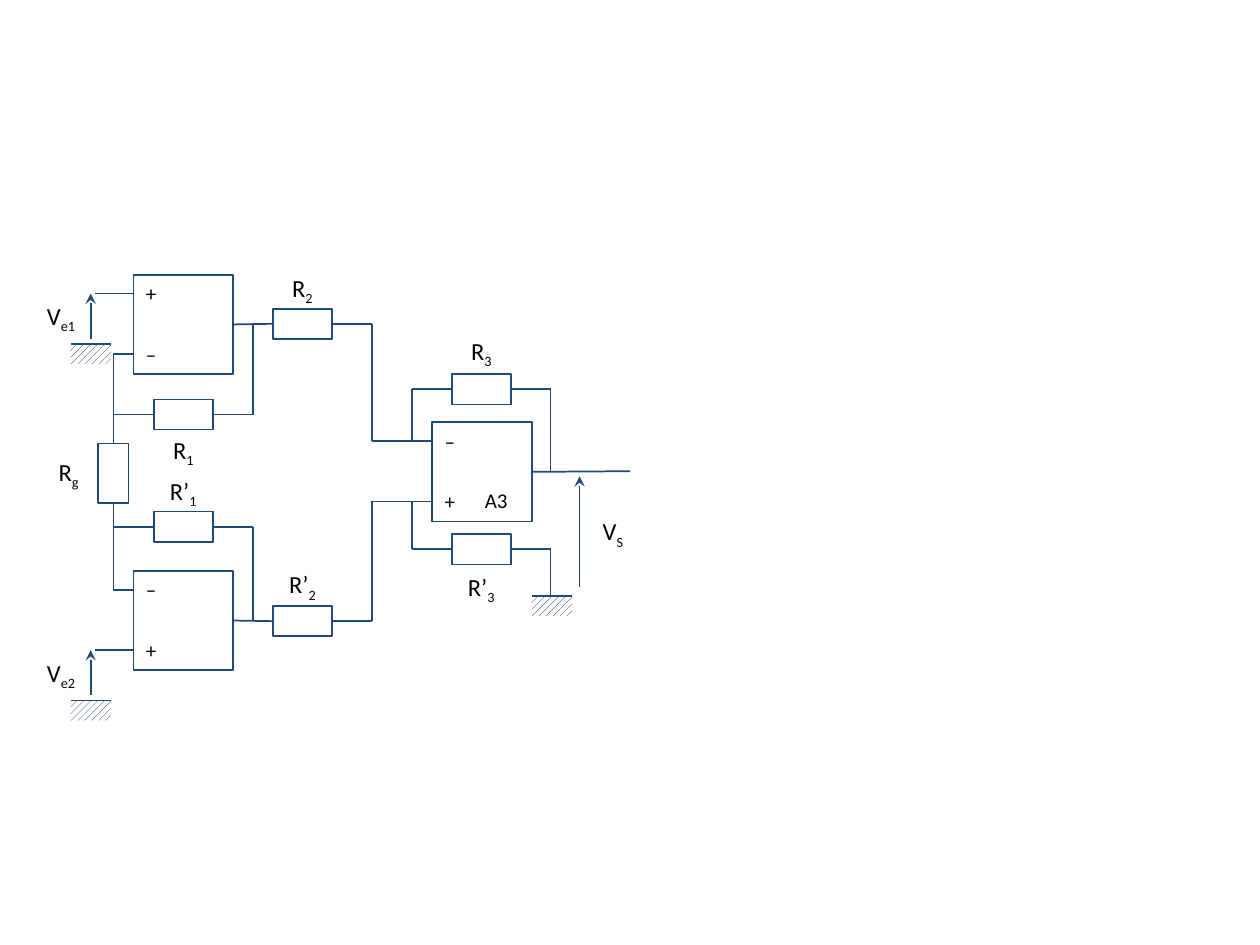
from dataclasses import dataclass
from typing import NamedTuple

from lxml import etree
from pptx import Presentation
from pptx import util as u
from pptx.dml.color import RGBColor
from pptx.enum import dml, shapes, text
from pptx.oxml.ns import qn


@dataclass(frozen=True)
class Theme:
    font: str = "Calibri"
    wire: RGBColor = RGBColor(0x1F, 0x49, 0x7D)
    hatch: RGBColor = RGBColor(0x00, 0x20, 0x60)
    paper: RGBColor = RGBColor(0xFF, 0xFF, 0xFF)
    ink: RGBColor = RGBColor(0, 0, 0)
    line: float = 1
    label: float = 14
    sign: float = 12


class Point(NamedTuple):
    x: float
    y: float


class Joint(NamedTuple):
    box: object
    site: int


@dataclass(frozen=True)
class Amplifier:
    left: float
    top: float
    upper: str
    lower: str


@dataclass(frozen=True)
class Resistor:
    name: str
    index: str
    start: float
    finish: float
    middle: float
    label_top: float
    source: int | None = None


THEME = Theme()
TOP, RIGHT, BOTTOM, LEFT = 0, 3, 2, 1
AMP_SIDE = 0.79
LONG, SHORT = 0.47, 0.24

AMPLIFIERS = [
    Amplifier(1.06, 2.18, "+", "–"),
    Amplifier(1.06, 4.53, "–", "+"),
    Amplifier(3.43, 3.35, "–", "+"),
]
RESISTORS = [
    Resistor("R", "1", 0.9, 2.01, 3.29, 3.4),
    Resistor("R’", "1", 0.9, 2.01, 4.18, 3.73),
    Resistor("R", "2", 1.85, 2.95, 2.57, 2.12, source=0),
    Resistor("R’", "2", 1.85, 2.95, 4.93, 4.47, source=1),
    Resistor("R", "3", 3.27, 4.37, 3.09, 2.62),
    Resistor("R’", "3", 3.27, 4.37, 4.36, 4.49),
]
WIRES = [
    (Point(0.9, 2.81), Point(1.06, 2.81)),
    (Point(0.9, 4.68), Point(1.06, 4.68)),
    (Point(2.01, 3.29), Point(2.01, 2.57)),
    (Point(2.01, 4.93), Point(2.01, 4.18)),
    (Point(2.95, 2.57), Point(2.95, 3.5)),
    (Point(2.95, 3.5), Point(3.43, 3.5)),
    (Point(2.95, 4.93), Point(2.95, 3.98)),
    (Point(2.95, 3.98), Point(3.43, 3.98)),
    (Point(3.27, 3.09), Point(3.27, 3.5)),
    (Point(3.27, 3.98), Point(3.27, 4.36)),
    (Point(4.37, 3.09), Point(4.37, 3.74)),
    (Point(4.37, 4.36), Point(4.37, 4.73)),
]


def add_wire(page, begin: Point | Joint, end: Point | Joint, arrow: bool = False):
    first, last = (Point(0, 0) if isinstance(tip, Joint) else tip for tip in (begin, end))
    wire = page.shapes.add_connector(
        shapes.MSO_CONNECTOR.STRAIGHT, *(u.Inches(value) for value in (*first, *last)))
    if isinstance(begin, Joint):
        wire.begin_connect(begin.box, begin.site)
    if isinstance(end, Joint):
        wire.end_connect(end.box, end.site)
    wire.line.color.rgb = THEME.wire
    wire.line.width = u.Pt(THEME.line)
    if arrow:
        etree.SubElement(wire.line._get_or_add_ln(), qn("a:tailEnd"), type="stealth")
    etree.SubElement(wire._element.spPr, qn("a:effectLst"))
    return wire


def add_box(page, left: float, top: float, width: float, height: float):
    box = page.shapes.add_shape(
        shapes.MSO_SHAPE.RECTANGLE, *(u.Inches(value) for value in (left, top, width, height)))
    box.shadow.inherit = False
    box.fill.background()
    box.line.color.rgb = THEME.wire
    box.line.width = u.Pt(THEME.line)
    return box


def add_label(page, wording: str, left: float, top: float, *, index: str = "",
              size: float = THEME.label, height: float = 0.34,
              align=text.PP_ALIGN.CENTER):
    box = page.shapes.add_textbox(*(u.Inches(value) for value in (left, top, 0.47, height)))
    frame = box.text_frame
    frame.word_wrap = True
    frame.auto_size = text.MSO_AUTO_SIZE.SHAPE_TO_FIT_TEXT
    para = frame.paragraphs[0]
    para.alignment = align
    for part in filter(None, (wording, index)):
        span = para.add_run()
        span.text = part
        span.font.name = THEME.font
        span.font.size = u.Pt(size)
        span.font.color.rgb = THEME.ink
    if index:
        span.font._element.set("baseline", "-25000")
    return box


def add_sign(page, wording: str, left: float, top: float):
    return add_label(page, wording, left, top, size=THEME.sign, height=0.3,
                     align=text.PP_ALIGN.LEFT)


def add_amplifier(page, amp: Amplifier):
    group = page.shapes.add_group_shape()
    box = add_box(group, amp.left, amp.top, AMP_SIDE, AMP_SIDE)
    add_sign(group, amp.upper, amp.left, amp.top)
    add_sign(group, amp.lower, amp.left, amp.top + 0.48)
    return box


def add_resistor(page, resistor: Resistor, amp_boxes: list):
    left = (resistor.start + resistor.finish - LONG) / 2
    box = add_box(page, left, resistor.middle - SHORT / 2, LONG, SHORT)
    if resistor.source is None:
        origin = Point(resistor.start, resistor.middle)
    else:
        origin = Joint(amp_boxes[resistor.source], RIGHT)
    add_wire(page, origin, Joint(box, LEFT))
    add_wire(page, Joint(box, RIGHT), Point(resistor.finish, resistor.middle))
    add_label(page, resistor.name, left, resistor.label_top, index=resistor.index)


def add_ground(page, left: float, top: float):
    group = page.shapes.add_group_shape()
    hatch = add_box(group, left, top, 0.32, 0.16)
    hatch.line.fill.background()
    hatch.fill.patterned()
    hatch.fill.pattern = dml.MSO_PATTERN.WIDE_UPWARD_DIAGONAL
    hatch.fill.fore_color.rgb = THEME.hatch
    hatch.fill.back_color.rgb = THEME.paper
    add_wire(group, Point(left, top), Point(left + 0.32, top))


def add_input(page, index: str, level: float):
    add_wire(page, Point(1.06, level), Point(0.75, level))
    add_wire(page, Point(0.72, level + 0.36), Point(0.72, level), arrow=True)
    add_label(page, "V", 0.25, level + 0.01, index=index)
    add_ground(page, 0.56, level + 0.4)


def main():
    deck = Presentation()
    deck.slide_width, deck.slide_height = u.Inches(10), u.Inches(7.5)
    page = deck.slides.add_slide(deck.slide_layouts[6])
    amp_boxes = [add_amplifier(page, amp) for amp in AMPLIFIERS]
    for resistor in RESISTORS:
        add_resistor(page, resistor, amp_boxes)
    gain_box = add_box(page, 0.9 - SHORT / 2, 3.52, SHORT, LONG)
    add_wire(page, Point(0.9, 2.81), Joint(gain_box, TOP))
    add_wire(page, Point(0.9, 4.68), Joint(gain_box, BOTTOM))
    add_label(page, "R", 0.31, 3.58, index="g")
    for begin, end in WIRES:
        add_wire(page, begin, end)
    for index, level in (("e1", 2.33), ("e2", 5.16)):
        add_input(page, index, level)
    add_ground(page, 4.22, 4.73)
    add_wire(page, Point(5, 3.74), Joint(amp_boxes[2], RIGHT))
    add_wire(page, Point(4.6, 4.66), Point(4.6, 3.78), arrow=True)
    add_label(page, "V", 4.63, 4.05, index="S")
    add_sign(page, "A3", 3.75, 3.82)
    deck.save("out.pptx")


if __name__ == "__main__":
    main()
